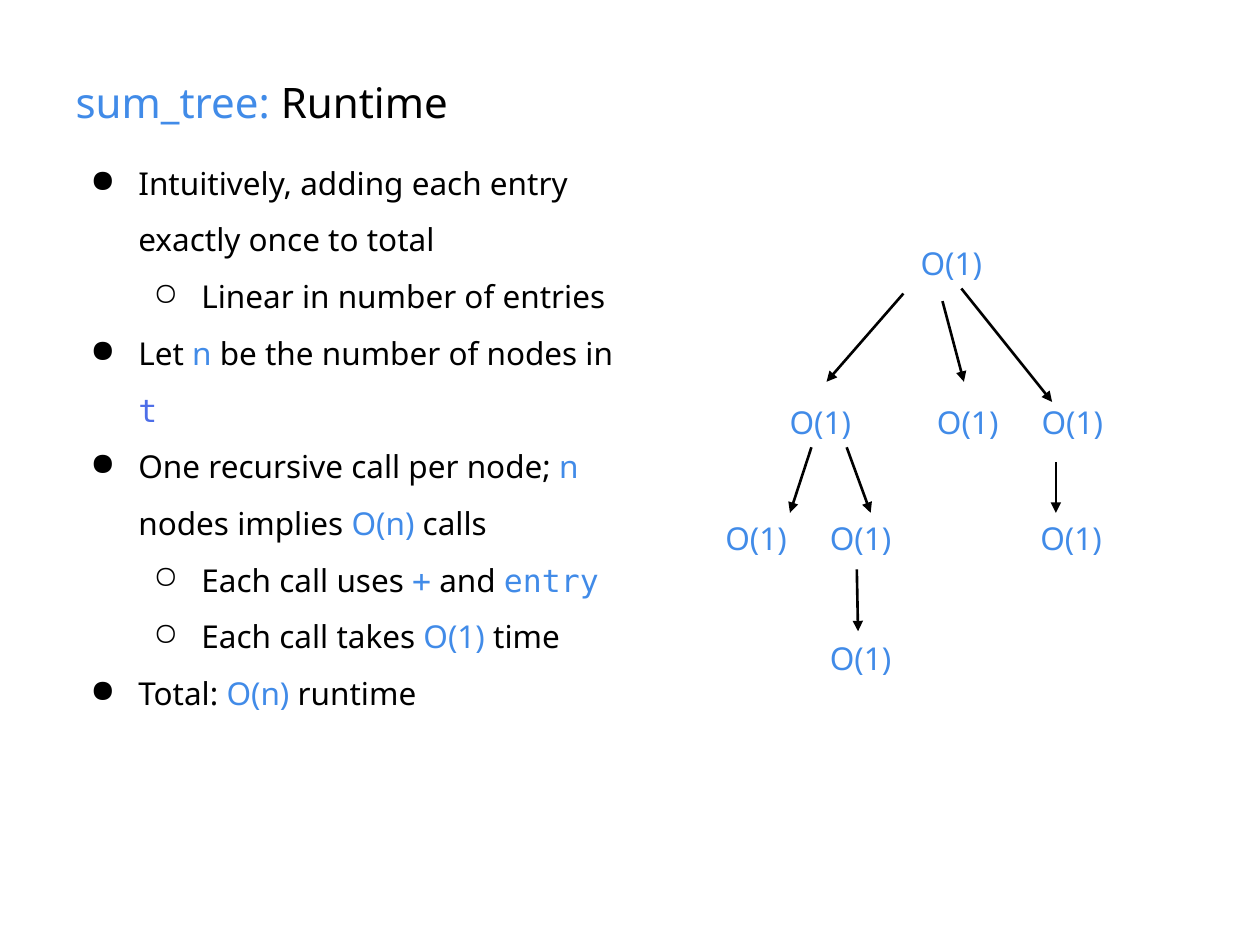
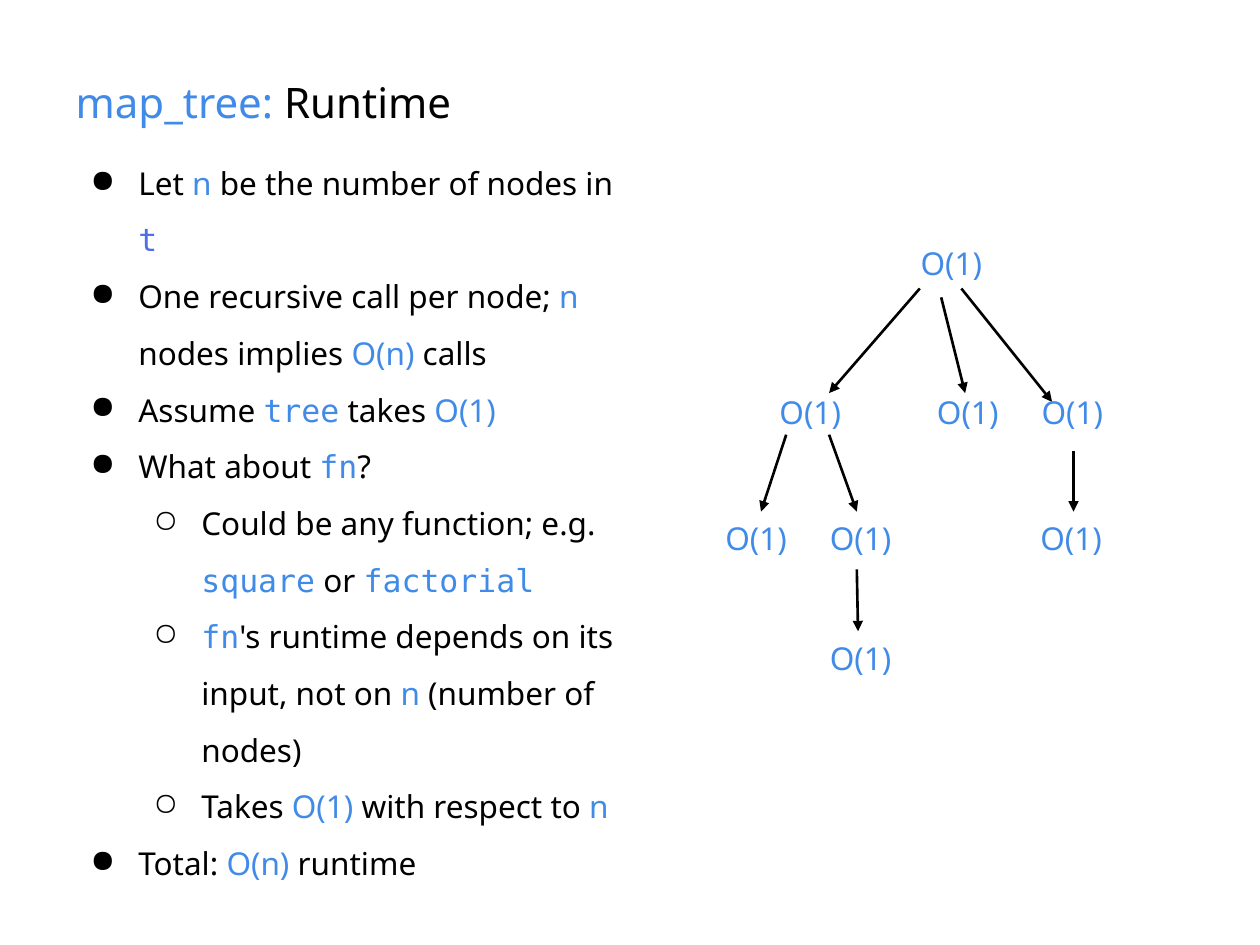
from lxml import etree
from pptx import Presentation
from pptx.dml.color import RGBColor
from pptx.enum.shapes import MSO_CONNECTOR
from pptx.enum.text import MSO_ANCHOR, MSO_AUTO_SIZE, PP_ALIGN
from pptx.oxml.ns import qn
from pptx.util import Inches, Pt

CENTER, LEFT = PP_ALIGN.CENTER, PP_ALIGN.LEFT
TOP, MIDDLE, BOTTOM = MSO_ANCHOR.TOP, MSO_ANCHOR.MIDDLE, MSO_ANCHOR.BOTTOM
NO_AUTOFIT = MSO_AUTO_SIZE.NONE
STRAIGHT = MSO_CONNECTOR.STRAIGHT

BLACK, BLUE, VIOLET = "000000", "418BE8", "4D6EE8"
SANS, MONO = "Noto Sans", "DejaVu Sans Mono"
BULLETS = "●○"
NODE_W, NODE_H = 0.82, 0.42
TITLE_ONLY = 5


def rgb(value):
    return RGBColor.from_string(value)


def run(text, size=18, font=SANS, color=BLACK):
    """Describe one formatted piece of text."""
    return text, size, font, color


def math(text):
    return run(text, color=BLUE)


def code(text, color=BLUE):
    return run(text, font=MONO, color=color)


class Deck:
    """Holds the shared style and the current slide."""

    def __init__(self):
        self.prs = Presentation()
        self.prs.slide_width, self.prs.slide_height = Inches(10), Inches(7.5)
        self.slide = None

    def frame(self, sp, anchor):
        tf = sp.text_frame
        tf.word_wrap = True
        tf.auto_size = NO_AUTOFIT
        tf.vertical_anchor = anchor
        tf.margin_left = tf.margin_right = Inches(0.1)
        tf.margin_top = tf.margin_bottom = Inches(0.1)
        return tf

    def fill(self, p, pieces, align=LEFT):
        p.alignment = align
        for piece in pieces:
            text, size, font, color = run(piece) if isinstance(piece, str) else piece
            r = p.add_run()
            r.text = text
            r.font.size, r.font.name = Pt(size), font
            r.font.color.rgb = rgb(color)

    def add_slide(self, function_name):
        self.slide = self.prs.slides.add_slide(self.prs.slide_layouts[TITLE_ONLY])
        sp = self.slide.shapes.title
        sp.left, sp.top = Inches(0.5), Inches(0.24)
        sp.width, sp.height = Inches(9), Inches(0.87)
        tf = self.frame(sp, BOTTOM)
        self.fill(tf.paragraphs[0], [run(function_name + ":", size=24, color=BLUE),
                                     run(" Runtime", size=24)])

    def bullets(self, items):
        sp = self.slide.shapes.add_textbox(Inches(0.5), Inches(1.05),
                                           Inches(4.6), Inches(6.13))
        tf = self.frame(sp, TOP)
        for i, (level, *pieces) in enumerate(items):
            p = tf.add_paragraph() if i else tf.paragraphs[0]
            p.level = level
            p.line_spacing = 1.5
            pPr = p._p.get_or_add_pPr()
            pPr.set("marL", str(Inches(0.5 * (level + 1))))
            pPr.set("indent", str(Inches(-0.38)))
            bu_color = etree.SubElement(pPr, qn("a:buClr"))
            etree.SubElement(bu_color, qn("a:srgbClr"), val=BLACK)
            etree.SubElement(pPr, qn("a:buChar"), char=BULLETS[level])
            self.fill(p, pieces)

    def arrow(self, shapes, x1, y1, x2, y2):
        s = shapes.add_connector(STRAIGHT, Inches(x1), Inches(y1), Inches(x2), Inches(y2))
        s.line.color.rgb = rgb(BLACK)
        s.line.width = Pt(1.5)
        etree.SubElement(s.line._get_or_add_ln(), qn("a:tailEnd"), type="triangle")
        etree.SubElement(s._element.spPr, qn("a:effectLst"))

    def node(self, shapes, x, y):
        sp = shapes.add_textbox(Inches(x), Inches(y), Inches(NODE_W), Inches(NODE_H))
        tf = self.frame(sp, MIDDLE)
        self.fill(tf.paragraphs[0], [math("O(1)")], align=CENTER)

    def tree(self, child_x, child_y, arrows):
        """Draw the call tree; child_x and child_y place the second row."""
        shapes = self.slide.shapes.add_group_shape().shapes
        for ends in arrows + SHARED_ARROWS:
            self.arrow(shapes, *ends)
        rows = [(1.88, [7.14]), (child_y, [child_x, 7.27, 8.1]),
                (4.06, [5.59, 6.42, 8.09]), (5.01, [6.42])]
        for y, columns in rows:
            for x in columns:
                self.node(shapes, x, y)


# Content used on both slides
SHARED_ARROWS = [(7.63, 2.29, 8.35, 3.19), (6.8, 4.52, 6.81, 5.01)]
NODE_COUNT = (0, "Let ", math("n"), " be the number of nodes in ", code("t", VIOLET))
CALL_COUNT = (0, "One recursive call per node; ", math("n"), " nodes implies ",
              math("O(n)"), " calls")
TOTAL = (0, "Total: ", math("O(n)"), " runtime")


def main():
    deck = Deck()

    # sum_tree
    deck.add_slide("sum_tree")
    deck.bullets([
        (0, "Intuitively, adding each entry exactly once to total"),
        (1, "Linear in number of entries"),
        NODE_COUNT,
        CALL_COUNT,
        (1, "Each call uses ", code("+"), " and ", code("entry")),
        (1, "Each call takes ", math("O(1)"), " time"),
        TOTAL,
    ])
    deck.tree(6.1, 3.14, [
        (7.17, 2.33, 6.56, 3.03), (7.48, 2.39, 7.65, 3.03),
        (6.44, 3.55, 6.27, 4.07), (6.72, 3.55, 6.91, 4.07),
        (8.38, 3.67, 8.38, 4.07),
    ])

    # map_tree
    deck.add_slide("map_tree")
    deck.bullets([
        NODE_COUNT,
        CALL_COUNT,
        (0, "Assume ", code("tree"), " takes ", math("O(1)")),
        (0, "What about ", code("fn"), "?"),
        (1, "Could be any function; e.g. ", code("square"), " or ", code("factorial")),
        (1, code("fn"), "'s runtime depends on its input, not on ", math("n"),
         " (number of nodes)"),
        (1, "Takes ", math("O(1)"), " with respect to ", math("n")),
        TOTAL,
    ])
    deck.tree(6.02, 3.06, [
        (7.3, 2.29, 6.58, 3.12), (7.47, 2.36, 7.66, 3.12),
        (6.24, 3.45, 6.04, 4.06), (6.58, 3.45, 6.8, 4.06),
        (8.52, 3.58, 8.52, 4.06),
    ])

    deck.prs.save("out.pptx")


if __name__ == "__main__":
    main()
